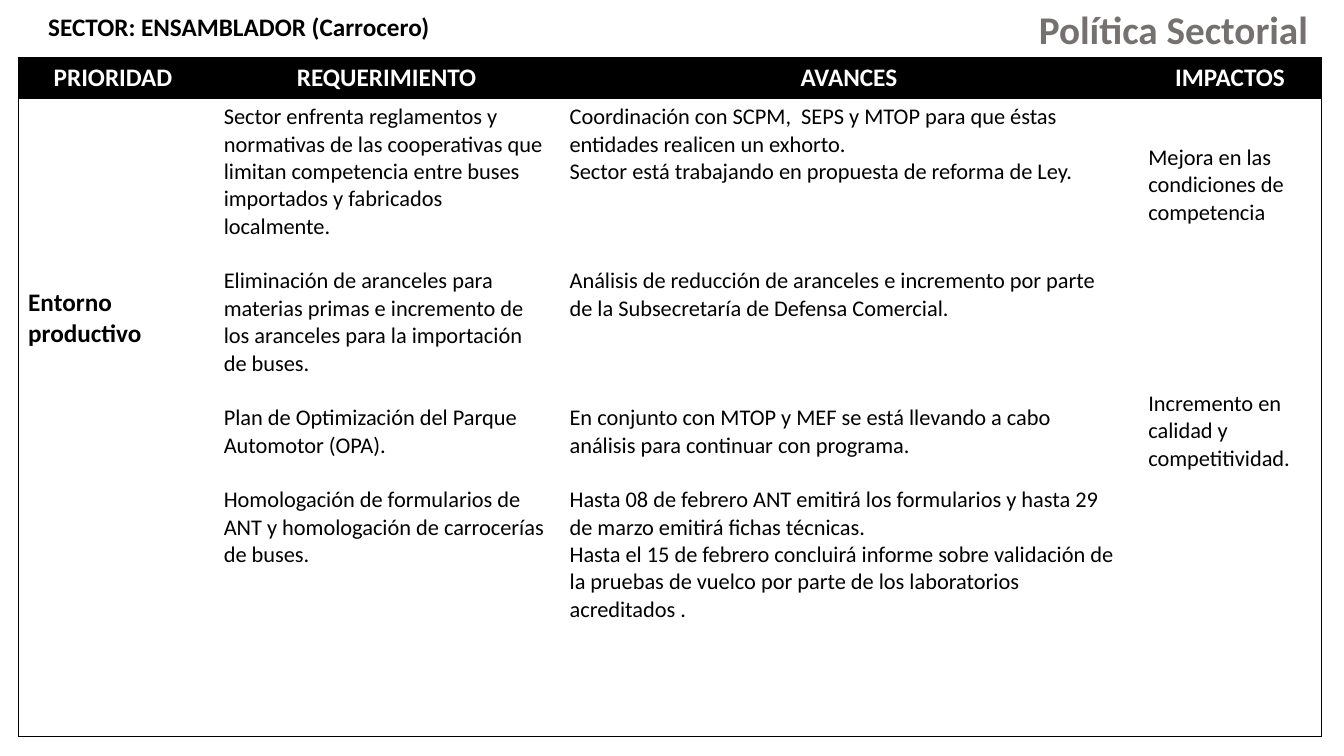
"""Build the sector policy slide: a priority table under a sector label and a title."""
from lxml import etree
from pptx import Presentation, util as u
from pptx.dml.color import RGBColor
from pptx.enum import text
from pptx.oxml import ns

FONT = "Calibri"
COLORS = {"ink": "000000", "header_text": "FFFFFF", "title": "767171"}
TITLE = "Política Sectorial "
SECTOR = "SECTOR: ENSAMBLADOR (Carrocero)"
HEADERS = ["PRIORIDAD ", "REQUERIMIENTO", "AVANCES", "IMPACTOS"]
PRIORITY = [(0, ["Entorno productivo"])]
REQUIREMENTS = [
    (0, ["Sector enfrenta reglamentos y normativas de las cooperativas que limitan "
         "competencia entre buses importados y fabricados localmente."]),
    (1, ["Eliminación de aranceles para materias primas e incremento de los aranceles "
         "para la importación de buses."]),
    (1, ["Plan de Optimización del Parque Automotor (OPA)."]),
    (1, ["Homologación de formularios de ANT y homologación de carrocerías de buses."]),
]
PROGRESS = [
    (0, ["Coordinación con SCPM,  SEPS y MTOP para que éstas",
         "entidades realicen un exhorto.",
         "Sector está trabajando en propuesta de reforma de Ley."]),
    (3, ["Análisis de reducción de aranceles e incremento por parte",
         "de la Subsecretaría de Defensa Comercial."]),
    (3, ["En conjunto con MTOP y MEF se está llevando a cabo",
         "análisis para continuar con programa."]),
    (1, ["Hasta 08 de febrero ANT emitirá los formularios y hasta 29",
         "de marzo emitirá fichas técnicas.",
         "Hasta el 15 de febrero concluirá informe sobre validación de",
         "la pruebas de vuelco por parte de los laboratorios",
         "acreditados ."]),
]
IMPACTS = [
    (0, ["Mejora en las", "condiciones de", "competencia"]),
    (6, ["Incremento en", "calidad y", "competitividad."]),
]
BODY = [PRIORITY, REQUIREMENTS, PROGRESS, IMPACTS]

SLIDE_SIZE = (13.33, 7.5)
TABLE_ORIGIN = (0.18, 0.57)
COLUMNS = [1.94, 3.43, 5.74, 1.82]
ROWS = [0.4, 6.33]
TITLE_BOX = (8.85, 0, 4.31, 0.57)
SECTOR_BOX = (0.38, 0.06, 4.78, 0.4)
HEAD_SIZE, BODY_SIZE, TITLE_SIZE = 18, 16, 28
LINE_RATIO = 1.22
NO_STYLE = "{2D5ABB26-0587-4C30-8999-92F81FD0307C}"


def inches(values):
    return [u.Inches(value) for value in values]


def lines(count, size):
    return u.Pt(round(count * size * LINE_RATIO, 1))


def write(frame, groups, size, color, bold=False, align=text.PP_ALIGN.LEFT):
    entries = [(gap if index == 0 else 0, line)
               for gap, group in groups for index, line in enumerate(group)]
    for index, (gap, line) in enumerate(entries):
        paragraph = frame.add_paragraph() if index else frame.paragraphs[0]
        paragraph.text = line
        paragraph.alignment = align
        if gap:
            paragraph.space_before = lines(gap, size)
        for run in paragraph.runs:
            run.font.name, run.font.size, run.font.bold = FONT, u.Pt(size), bold
            run.font.color.rgb = RGBColor.from_string(COLORS[color])


def set_borders(cell, widths):
    properties = cell._tc.get_or_add_tcPr()
    for side in "LRTB":
        border = etree.SubElement(properties, ns.qn(f"a:ln{side}"))
        if side in widths:
            border.set("w", str(u.Pt(widths[side])))
            fill = etree.SubElement(border, ns.qn("a:solidFill"))
            etree.SubElement(fill, ns.qn("a:srgbClr"), val=COLORS["ink"])
        else:
            etree.SubElement(border, ns.qn("a:noFill"))


def add_policy_table(slide):
    frame = slide.shapes.add_table(
        len(ROWS), len(COLUMNS), *inches((*TABLE_ORIGIN, sum(COLUMNS), sum(ROWS))))
    table = frame.table
    table.first_row = table.horz_banding = False
    frame.element.xpath(".//a:tableStyleId")[0].text = NO_STYLE
    for column, width in zip(table.columns, inches(COLUMNS)):
        column.width = width
    for row, height in zip(table.rows, inches(ROWS)):
        row.height = height

    for index, header in enumerate(HEADERS):
        edge = {0: {"L": 0.5}, len(HEADERS) - 1: {"R": 0.5}}.get(index, {})
        head, body = table.cell(0, index), table.cell(1, index)
        set_borders(head, {"T": 0.5, **edge})
        set_borders(body, {"T": 0.5, "B": 1, **edge})
        head.fill.solid()
        head.fill.fore_color.rgb = RGBColor.from_string(COLORS["ink"])
        body.fill.background()
        write(head.text_frame, [(0, [header])], HEAD_SIZE, "header_text", True,
              text.PP_ALIGN.CENTER)
        is_priority = index == 0
        write(body.text_frame, BODY[index], HEAD_SIZE if is_priority else BODY_SIZE,
              "ink", is_priority)

    priority, impacts = table.cell(1, 0), table.cell(1, len(HEADERS) - 1)
    priority.margin_top = u.Inches(0.05) + lines(6, HEAD_SIZE)
    impacts.vertical_anchor = text.MSO_ANCHOR.MIDDLE
    impacts.margin_bottom = u.Inches(0.05) + lines(8, BODY_SIZE)


def main():
    presentation = Presentation()
    presentation.slide_width, presentation.slide_height = inches(SLIDE_SIZE)
    slide = presentation.slides.add_slide(presentation.slide_layouts[5])
    add_policy_table(slide)

    sector = slide.shapes.add_textbox(*inches(SECTOR_BOX))
    sector.text_frame.word_wrap = True
    write(sector.text_frame, [(0, [SECTOR])], HEAD_SIZE, "ink", True)

    title = slide.shapes.title
    title.left, title.top, title.width, title.height = inches(TITLE_BOX)
    title.text_frame.vertical_anchor = text.MSO_ANCHOR.TOP
    title.text_frame.auto_size = text.MSO_AUTO_SIZE.NONE
    write(title.text_frame, [(0, [TITLE])], TITLE_SIZE, "title", True,
          text.PP_ALIGN.RIGHT)
    presentation.save("out.pptx")


if __name__ == "__main__":
    main()
